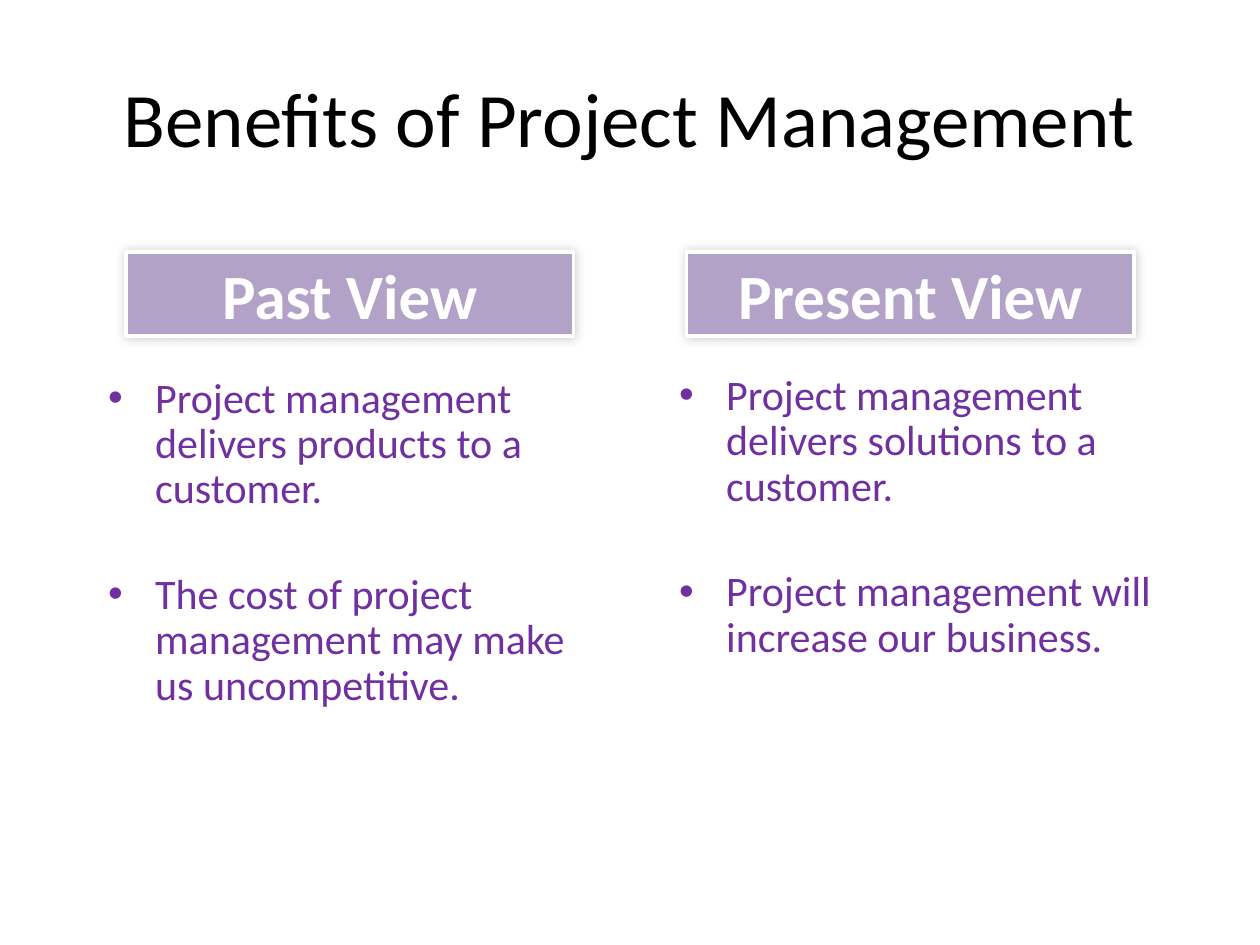
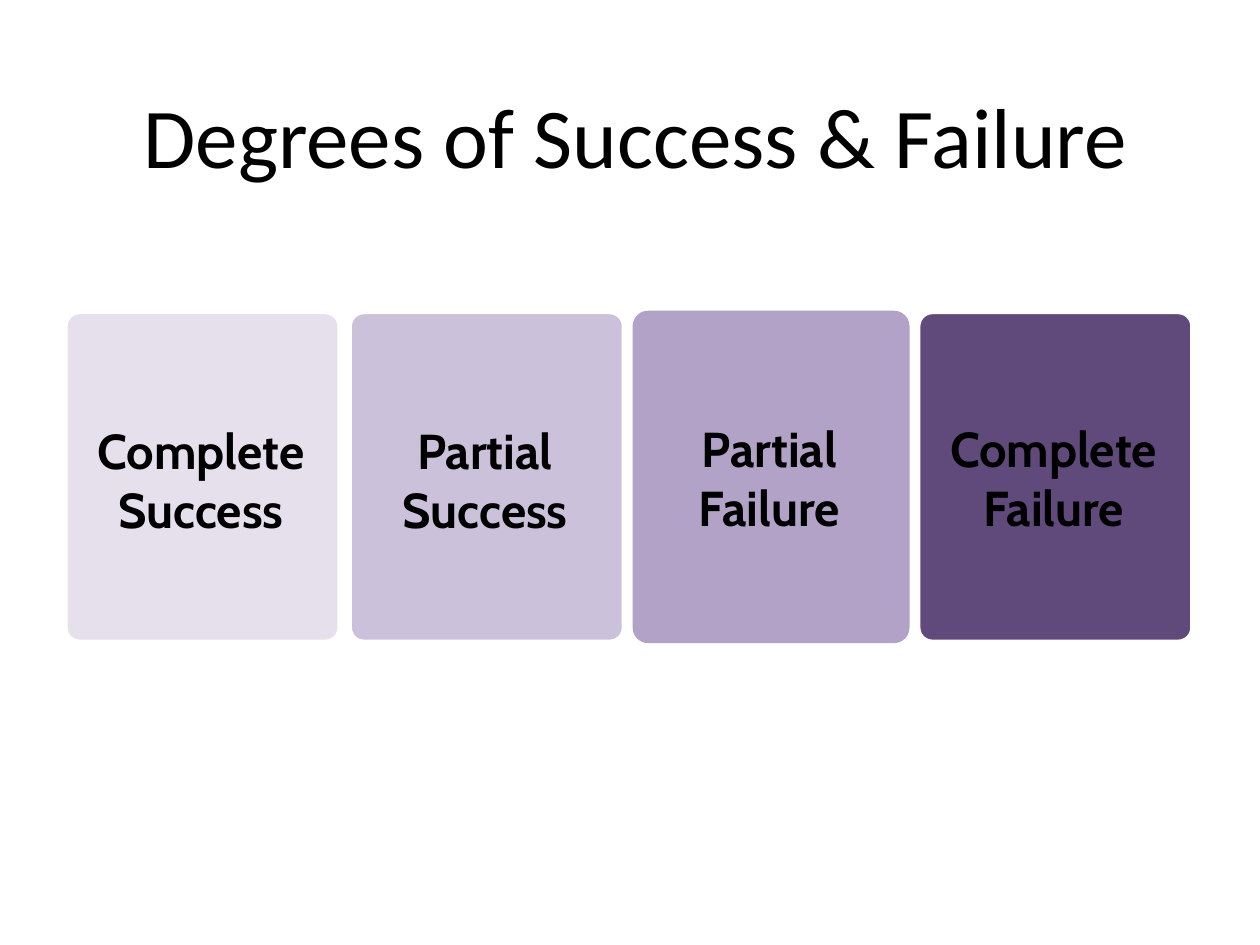
import pptx
import pptx.util
import pptx.dml.color
import pptx.enum.shapes
import pptx.enum.text
import pptx.oxml
import pptx.oxml.ns
from pptx.util import Cm

COLOURS = {
    "black": "000000",
    "white": "FFFFFF",
    "text": "7030A0",
    "pale": "E6E0EC",
    "light": "CCC1DA",
    "medium": "B3A2C7",
    "dark": "604A7B",
}
FORMATS = {
    "heading": {"name": "Calibri", "size": 44, "bold": False, "color": "black"},
    "big heading": {"name": "Calibri", "size": 48.6, "bold": False, "color": "black"},
    "banner": {"name": "Calibri", "size": 36, "bold": True, "color": "white"},
    "bullet": {"name": "Calibri", "size": 24, "bold": False, "color": "text"},
    "degree": {"name": "Cabin", "size": 28, "bold": True, "color": "black"},
}
SHAPES = pptx.enum.shapes.MSO_SHAPE
ANCHOR = pptx.enum.text.MSO_ANCHOR
ALIGN = pptx.enum.text.PP_ALIGN


def write(box, lines, style, anchor=ANCHOR.MIDDLE, align=ALIGN.CENTER):
    """Fill a box with paragraphs in one named format."""
    frame = box.text_frame
    frame.word_wrap = True
    frame.vertical_anchor = anchor
    frame.text = "\n".join(lines)
    for para in frame.paragraphs:
        para.alignment = align
        for span in para.runs:
            for key, value in FORMATS[style].items():
                if key == "color":
                    span.font.color.rgb = pptx.dml.color.RGBColor.from_string(COLOURS[value])
                else:
                    setattr(span.font, key, pptx.util.Pt(value) if key == "size" else value)
    return frame


def add_panel(page, kind, place, fill, line):
    """Add a filled and outlined shape without a shadow."""
    panel = page.shapes.add_shape(kind, *place)
    panel.shadow.inherit = False
    panel.fill.solid()
    panel.fill.fore_color.rgb = pptx.dml.color.RGBColor.from_string(COLOURS[fill])
    panel.line.color.rgb = pptx.dml.color.RGBColor.from_string(COLOURS[line])
    panel.line.width = pptx.util.Pt(2)
    return panel


deck = pptx.Presentation()
deck.slide_width, deck.slide_height = Cm(25.4), Cm(19.05)

# Both pages with their titles
titles = [
    ("Benefits of Project Management", "heading", (1.27, 0.76, 22.86, 3.18)),
    ("Degrees of Success & Failure", "big heading", (2.11, 1.17, 21.39, 3.07)),
]
pages = []
for title, style, place in titles:
    page = deck.slides.add_slide(deck.slide_layouts[6])
    write(page.shapes.add_textbox(*map(Cm, place)), [title], style)
    pages.append(page)
benefits, degrees = pages

# Benefits: a banner with bullets below it for each view
views = [
    ("Past View", 2.54, 225, (1.93, 7.47, 10.21, 8.81), [
        "Project management delivers products to a customer.",
        "The cost of project management may make us uncompetitive.",
    ]),
    ("Present View", 13.84, 315, (13.44, 7.42, 10.46, 8.69), [
        "Project management delivers solutions to a customer.",
        "Project management will increase our business.",
    ]),
]
for view, left, angle, place, points in views:
    banner = add_panel(benefits, SHAPES.RECTANGLE,
                       (Cm(left), Cm(5.08), Cm(9.02), Cm(1.7)), "medium", "white")
    write(banner, [view], "banner")
    effects = banner._element.spPr.find(pptx.oxml.ns.qn("a:effectLst"))
    effects.append(pptx.oxml.parse_xml(
        f'<a:outerShdw {pptx.oxml.ns.nsdecls("a")} blurRad="{pptx.util.Pt(6)}" dist="0" '
        f'dir="{angle * 60000}"><a:srgbClr val="{COLOURS["black"]}">'
        '<a:alpha val="20000"/></a:srgbClr></a:outerShdw>'))

    box = benefits.shapes.add_textbox(*map(Cm, place))
    frame = write(box, points, "bullet", ANCHOR.TOP, ALIGN.LEFT)
    for number, para in enumerate(frame.paragraphs):
        para.line_spacing = 0.9
        if number:
            para.space_before = pptx.util.Pt(34.5)
        properties = para._p.get_or_add_pPr()
        properties.set("marL", str(Cm(0.95)))
        properties.set("indent", str(-Cm(0.95)))
        for bullet in ('buFont {} typeface="Arial"', 'buChar {} char="•"'):
            tag = bullet.format(pptx.oxml.ns.nsdecls("a"))
            properties.append(pptx.oxml.parse_xml(f"<a:{tag}/>"))

# Degrees: four equal cards from success to failure
cards = [
    ("Complete", "Success", "pale", "white", 8.36),
    ("Partial", "Success", "light", "white", 8.36),
    ("Partial", "Failure", "medium", "medium", 8.31),
    ("Complete", "Failure", "dark", "white", 8.31),
]
for column, (extent, result, fill, line, label_top) in enumerate(cards):
    left = 1.33 + 5.73 * column
    card = add_panel(degrees, SHAPES.ROUNDED_RECTANGLE,
                     (Cm(left), Cm(6.3), Cm(5.51), Cm(6.63)), fill, line)
    card.adjustments[0] = 0.05
    label = degrees.shapes.add_textbox(Cm(left + 0.08), Cm(label_top), Cm(5.28), Cm(2.64))
    write(label, [extent, result], "degree", ANCHOR.TOP)

deck.save("out.pptx")
